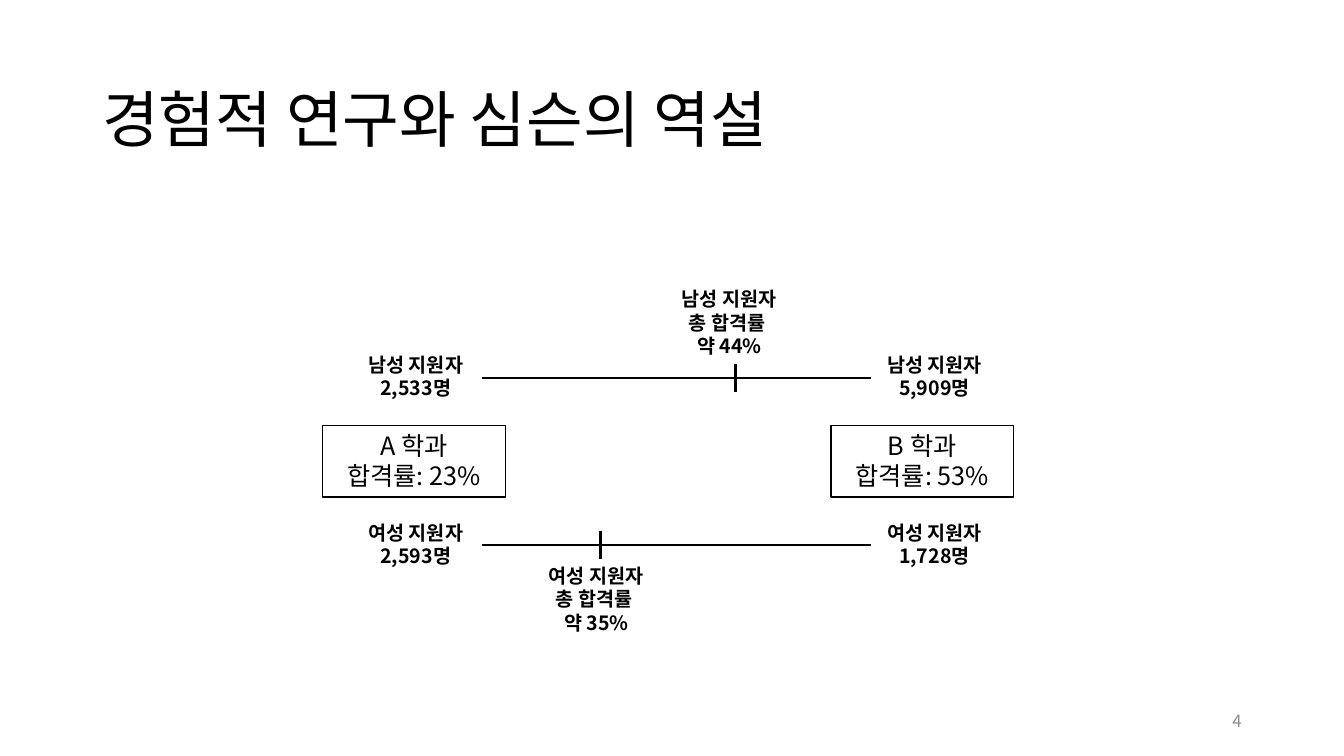
import pptx
import pptx.dml.color
import pptx.enum.shapes
import pptx.enum.text
import pptx.oxml.ns
import pptx.util
from lxml import etree

Pt = pptx.util.Pt
ALIGN = pptx.enum.text.PP_ALIGN
ANCHOR = pptx.enum.text.MSO_ANCHOR
BLACK = pptx.dml.color.RGBColor(0x00, 0x00, 0x00)
GRAY = pptx.dml.color.RGBColor(0x8C, 0x8C, 0x8C)
FONT = "Noto Sans CJK KR"

deck = pptx.Presentation()
deck.slide_width, deck.slide_height = Pt(960), Pt(540)
slide = deck.slides.add_slide(deck.slide_layouts[6])


def write(shape, text, size, align=ALIGN.CENTER, bold=False, color=BLACK,
          anchor=ANCHOR.TOP, spacing=1.0):
    frame = shape.text_frame
    frame.word_wrap = True
    frame.vertical_anchor = anchor
    frame.text = text
    for paragraph in frame.paragraphs:
        paragraph.alignment = align
        paragraph.line_spacing = spacing
        font = paragraph.font
        font.name, font.size, font.bold = FONT, Pt(size), bold
        font.color.rgb = color
        # Korean letters take the East Asian typeface
        latin = paragraph._p.pPr.find(".//" + pptx.oxml.ns.qn("a:latin"))
        east_asian = etree.Element(pptx.oxml.ns.qn("a:ea"), typeface=FONT)
        latin.addnext(east_asian)


def draw_line(x1, y1, x2, y2, width):
    line = slide.shapes.add_connector(
        pptx.enum.shapes.MSO_CONNECTOR.STRAIGHT, Pt(x1), Pt(y1), Pt(x2), Pt(y2))
    line.line.color.rgb = BLACK
    line.line.width = Pt(width)
    etree.SubElement(line._element.spPr, pptx.oxml.ns.qn("a:effectLst"))


# Title and slide number
title = slide.shapes.add_textbox(Pt(66), Pt(35.5), Pt(828), Pt(104.4))
write(title, "경험적 연구와 심슨의 역설", 44, align=ALIGN.LEFT,
      anchor=ANCHOR.MIDDLE, spacing=0.9)
slide_number = slide.shapes.add_textbox(Pt(678), Pt(500.5), Pt(216), Pt(28.8))
write(slide_number, "4", 12, align=ALIGN.RIGHT, color=GRAY, anchor=ANCHOR.MIDDLE)

# Departments with their admission rates
for left, department, rate in ((230.5, "A", 23), (593.5, "B", 53)):
    box = slide.shapes.add_shape(
        pptx.enum.shapes.MSO_SHAPE.RECTANGLE, Pt(left), Pt(304), Pt(130.5), Pt(51))
    box.shadow.inherit = False
    box.fill.background()
    box.line.color.rgb = BLACK
    box.line.width = Pt(1)
    write(box, f"{department} 학과\n합격률: {rate}%", 18)

# One axis per group: applicants at both ends, overall rate at the tick
AXIS_LEFT, AXIS_RIGHT = 344, 622
groups = (
    ("남성", 270, 248.5, "2,533", "5,909", 44, 525.5, 521, 201.5),
    ("여성", 389, 368.5, "2,593", "1,728", 35, 429, 426, 399),
)
for group, axis_y, count_top, count_a, count_b, rate, tick_x, rate_x, rate_top in groups:
    draw_line(AXIS_LEFT, axis_y, AXIS_RIGHT, axis_y, 1.5)
    draw_line(tick_x, axis_y - 10, tick_x, axis_y + 10, 2.25)
    for left, width, count in ((250, 94, count_a), (AXIS_RIGHT, 91, count_b)):
        applicants = slide.shapes.add_textbox(Pt(left), Pt(count_top), Pt(width), Pt(41))
        write(applicants, f"{group} 지원자\n{count}명", 14, bold=True)
    overall = slide.shapes.add_textbox(Pt(rate_x - 60), Pt(rate_top), Pt(120), Pt(58))
    write(overall, f"{group} 지원자\n총 합격률 \n약 {rate}%", 14, bold=True)

deck.save("out.pptx")
